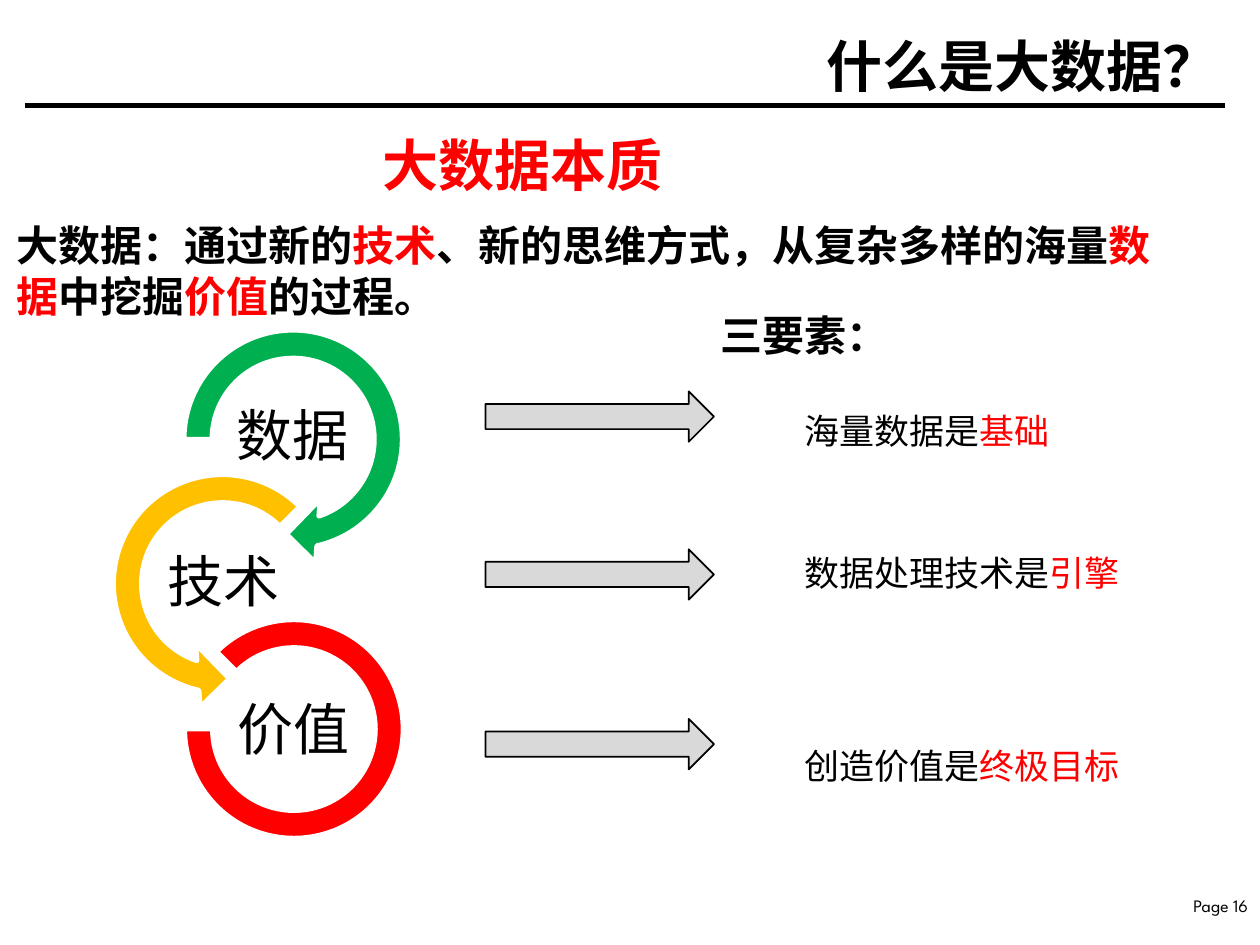
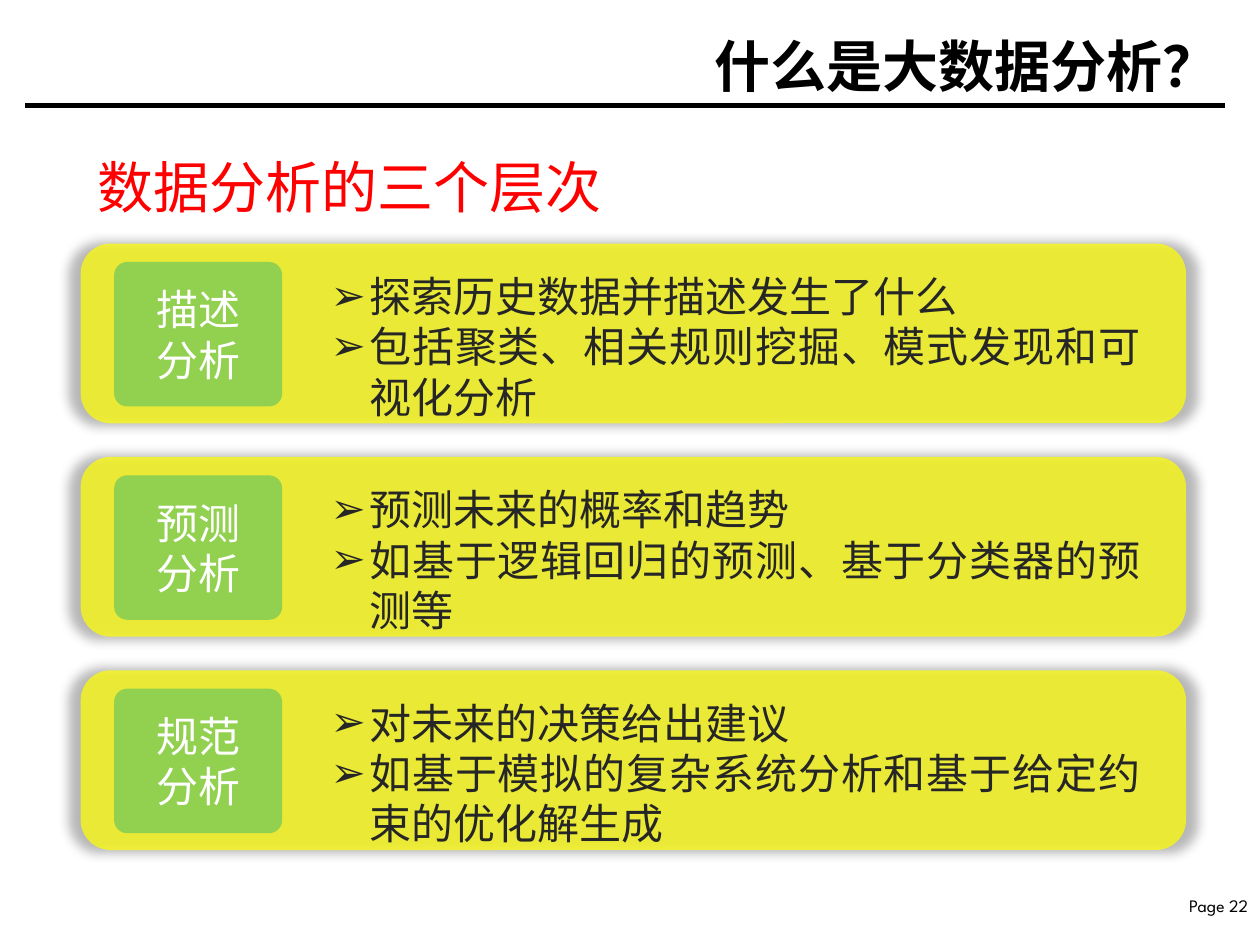
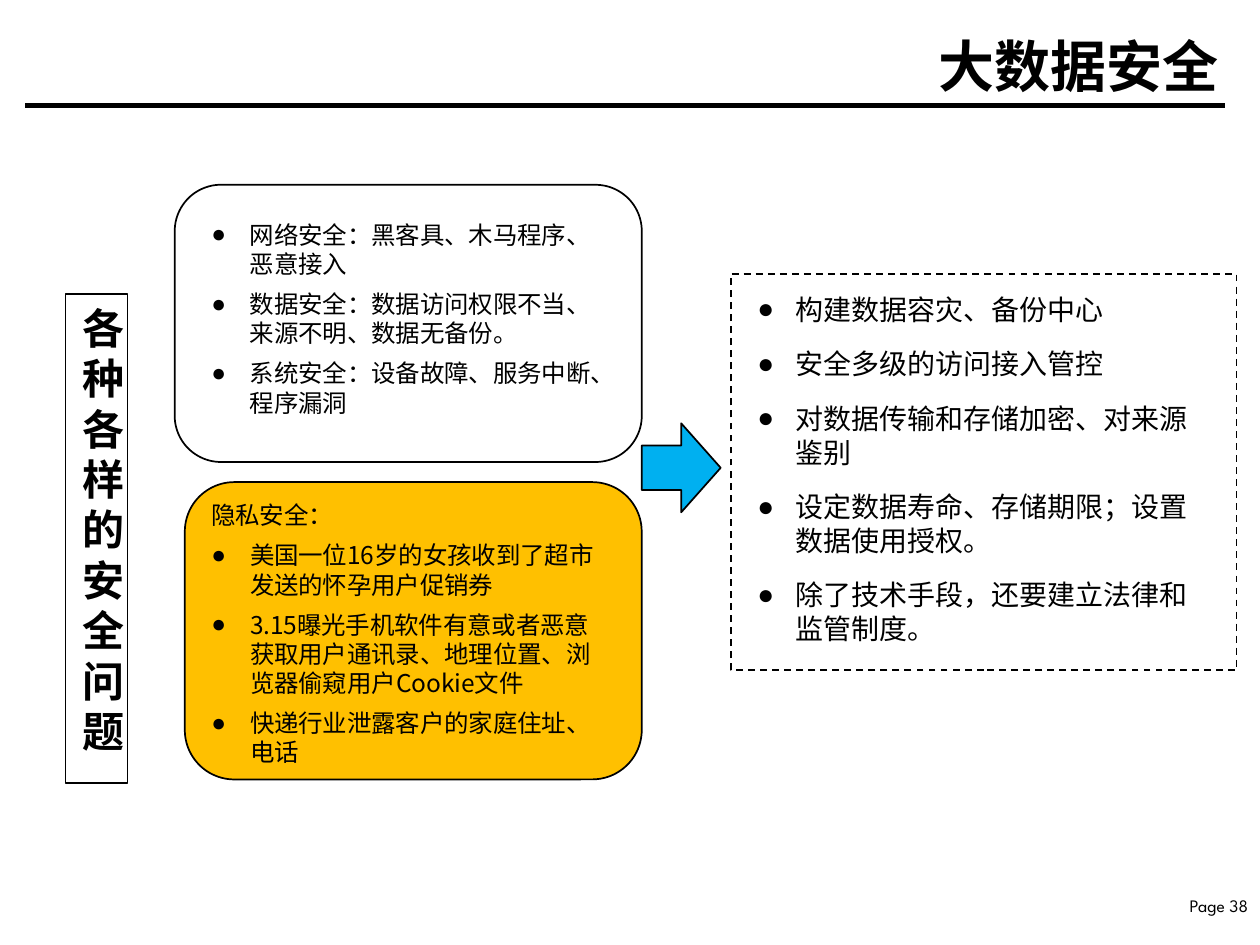
from dataclasses import dataclass
from typing import Optional

from lxml.etree import SubElement
from pptx import Presentation
from pptx.dml.color import RGBColor
from pptx.enum.dml import MSO_LINE
from pptx.enum.shapes import MSO_CONNECTOR, MSO_SHAPE
from pptx.enum.text import MSO_ANCHOR, PP_ALIGN
from pptx.oxml.ns import qn
from pptx.util import Inches, Pt

# Shared size, colours and fonts
SLIDE_WIDTH = 7.5
SLIDE_HEIGHT = SLIDE_WIDTH * 3 / 4
BLACK = RGBColor(0x00, 0x00, 0x00)
WHITE = RGBColor(0xFF, 0xFF, 0xFF)
RED = RGBColor(0xFF, 0x00, 0x00)
GREEN = RGBColor(0x00, 0xB0, 0x50)
AMBER = RGBColor(0xFF, 0xC0, 0x00)
GREY = RGBColor(0xD9, 0xD9, 0xD9)
YELLOW = RGBColor(0xFF, 0xFF, 0x00)
LIME = RGBColor(0x92, 0xD0, 0x50)
BLUE = RGBColor(0x00, 0xB0, 0xF0)
CHARCOAL = RGBColor(0x26, 0x26, 0x26)
CJK = "Noto Sans CJK SC"
LATIN = "Arial"
SERIF = "Times New Roman"
FOOTER_FONT = "League Spartan"
HANGING = 0.23


@dataclass(frozen=True)
class Box:
    left: float
    top: float
    width: float
    height: float

    def lengths(self):
        return [Inches(v) for v in (self.left, self.top, self.width, self.height)]


@dataclass(frozen=True)
class Style:
    size: float
    font: str = CJK
    color: RGBColor = BLACK
    bold: bool = False


@dataclass(frozen=True)
class Line:
    """A paragraph; every second piece of text is highlighted in red."""
    pieces: tuple[str, ...]
    style: Style
    align: PP_ALIGN = PP_ALIGN.LEFT
    bullet: Optional[str] = None
    indent: float = 0
    before: float = 0
    after: float = 0
    spacing: float = 1.0


@dataclass(frozen=True)
class CycleStep:
    label: str
    label_box: Box
    kind: MSO_SHAPE
    box: Box
    adjustments: tuple[float, ...]
    color: RGBColor


@dataclass(frozen=True)
class Level:
    name: str
    points: tuple[str, str]


TITLE = Style(24, bold=True)
CYCLE_LABEL = Style(24, FOOTER_FONT)
LEVEL_NAME = Style(18, color=WHITE)
LEVEL_POINT = Style(18, color=CHARCOAL)
ISSUE = Style(10.5)
MEASURE = Style(12)

CYCLE = (
    CycleStep("数据", Box(1.32, 2.4, 0.84, 0.42), MSO_SHAPE.CIRCULAR_ARROW,
              Box(0.99, 1.86, 1.51, 1.51), (0.11, 11.42, 45, 108, 0.125), GREEN),
    CycleStep("技术", Box(0.91, 3.27, 0.84, 0.42), MSO_SHAPE.LEFT_CIRCULAR_ARROW,
              Box(0.57, 2.72, 1.51, 1.51), (0.11, 11.42, 63, 189, 0.125), AMBER),
    CycleStep("价值", Box(1.33, 4.15, 0.84, 0.42), MSO_SHAPE.BLOCK_ARC,
              Box(1.1, 3.69, 1.3, 1.3), (135, 108, 0.127), RED),
)
ELEMENTS = (("海量数据是", "基础"), ("数据处理技术是", "引擎"), ("创造价值是", "终极目标"))
LEVELS = (
    Level("描述", ("探索历史数据并描述发生了什么",
                 "包括聚类、相关规则挖掘、模式发现和可视化分析")),
    Level("预测", ("预测未来的概率和趋势",
                 "如基于逻辑回归的预测、基于分类器的预测等")),
    Level("规范", ("对未来的决策给出建议",
                 "如基于模拟的复杂系统分析和基于给定约束的优化解生成")),
)
SYSTEM_ISSUES = (
    "网络安全：黑客具、木马程序、恶意接入",
    "数据安全：数据访问权限不当、来源不明、数据无备份。",
    "系统安全：设备故障、服务中断、程序漏洞",
)
PRIVACY_ISSUES = (
    "美国一位16岁的女孩收到了超市发送的怀孕用户促销券",
    "3.15曝光手机软件有意或者恶意获取用户通讯录、地理位置、浏览器偷窥用户Cookie文件",
    "快递行业泄露客户的家庭住址、电话",
)
MEASURES = (
    "构建数据容灾、备份中心",
    "安全多级的访问接入管控",
    "对数据传输和存储加密、对来源鉴别",
    "设定数据寿命、存储期限；设置数据使用授权。",
    "除了技术手段，还要建立法律和监管制度。",
)


# Drawing helpers
def add_run(paragraph, text: str, style: Style, color: RGBColor) -> None:
    run = paragraph.add_run()
    run.text = text
    run.font.size = Pt(style.size)
    run.font.name = style.font
    run.font.bold = style.bold
    run.font.color.rgb = color
    SubElement(run.font._element, qn("a:ea"), typeface=CJK)


def write(shape, lines: list[Line], anchor=MSO_ANCHOR.TOP) -> None:
    frame = shape.text_frame
    frame.word_wrap = True
    frame.vertical_anchor = anchor
    for index, line in enumerate(lines):
        paragraph = frame.add_paragraph() if index else frame.paragraphs[0]
        paragraph.alignment = line.align
        paragraph.line_spacing = line.spacing
        paragraph.space_before = Pt(line.before)
        paragraph.space_after = Pt(line.after)
        properties = paragraph._p.get_or_add_pPr()
        properties.set("hangingPunct", "1")
        properties.set("marL", str(Inches(line.indent)))
        if line.bullet:
            properties.set("indent", str(-Inches(line.indent)))
            SubElement(properties, qn("a:buFont"), typeface=LATIN)
            SubElement(properties, qn("a:buChar"), char=line.bullet)
        for position, piece in enumerate(line.pieces):
            add_run(paragraph, piece, line.style, RED if position % 2 else line.style.color)


def add_text(slide, box: Box, lines: list[Line], anchor=MSO_ANCHOR.TOP,
             margins: Optional[tuple[float, float]] = None) -> None:
    shape = slide.shapes.add_textbox(*box.lengths())
    if margins:
        frame = shape.text_frame
        frame.margin_left = frame.margin_right = Inches(margins[0])
        frame.margin_top = frame.margin_bottom = Inches(margins[1])
    write(shape, lines, anchor)


def add_figure(slide, kind: MSO_SHAPE, box: Box, fill: Optional[RGBColor] = None,
               line: Optional[RGBColor] = BLACK, width: float = 0.75,
               adjustments: tuple[float, ...] = ()):
    shape = slide.shapes.add_shape(kind, *box.lengths())
    shape.shadow.inherit = False
    for index, value in enumerate(adjustments):
        shape.adjustments[index] = value
    if fill is None:
        shape.fill.background()
    else:
        shape.fill.solid()
        shape.fill.fore_color.rgb = fill
    if line is None:
        shape.line.fill.background()
    else:
        shape.line.color.rgb = line
        shape.line.width = Pt(width)
    return shape


def add_glow(shape, opacity: int, shadow_opacity: int, blur: float, scale: int) -> None:
    """Make the fill translucent and put a soft, enlarged shadow around the shape."""
    properties = shape._element.spPr
    fill_color = properties.find(qn("a:solidFill"))[0]
    SubElement(fill_color, qn("a:alpha"), val=str(opacity * 1000))
    shadow = SubElement(properties.find(qn("a:effectLst")), qn("a:outerShdw"),
                        blurRad=str(Pt(blur)), dist="0", dir="0",
                        sx=str(scale * 1000), sy=str(scale * 1000),
                        algn="ctr", rotWithShape="0")
    shadow_color = SubElement(shadow, qn("a:srgbClr"), val=str(BLACK))
    SubElement(shadow_color, qn("a:alpha"), val=str(shadow_opacity * 1000))


def bullets(texts: tuple[str, ...], style: Style, before: float = 0) -> list[Line]:
    return [Line((text,), style, bullet="●", indent=HANGING, before=before, after=4.5)
            for text in texts]


def start_slide(presentation, title: str, page: int):
    """Add a slide with the shared title, rule and page number."""
    slide = presentation.slides.add_slide(presentation.slide_layouts[6])
    add_text(slide, Box(6.86, 5.29, 0.64, 0.2),
             [Line((f"Page {page}",), Style(7.5, FOOTER_FONT), PP_ALIGN.RIGHT)],
             margins=(0.07, 0.04))
    rule = slide.shapes.add_connector(MSO_CONNECTOR.STRAIGHT, Inches(0.15), Inches(0.63),
                                      Inches(7.29), Inches(0.63))
    rule.line.color.rgb = BLACK
    rule.line.width = Pt(2)
    SubElement(rule._element.spPr, qn("a:effectLst"))
    add_text(slide, Box(0.6, 0.14, 6.75, 0.94), [Line((title,), TITLE, PP_ALIGN.RIGHT)])
    return slide


# Slides
def build_essence(presentation) -> None:
    slide = start_slide(presentation, "什么是大数据？", 16)
    definition = ("大数据：通过新的", "技术", "、新的思维方式，从复杂多样的海量", "数据",
                  "中挖掘", "价值", "的过程。")
    add_text(slide, Box(0, 1.26, 6.97, 0.71),
             [Line(definition, Style(18, LATIN, bold=True))])

    # Cycle of three steps
    for step in CYCLE:
        add_figure(slide, step.kind, step.box, step.color, WHITE, 2.08, step.adjustments)
        add_text(slide, step.label_box,
                 [Line((step.label,), CYCLE_LABEL, PP_ALIGN.CENTER, spacing=0.9)],
                 MSO_ANCHOR.MIDDLE, (0.02, 0.02))

    # Arrows to the three elements, which are spaced ever wider
    for top in (2.33, 3.27, 4.28):
        add_figure(slide, MSO_SHAPE.RIGHT_ARROW, Box(2.89, top, 1.36, 0.3), GREY)
    heading = Line(("三要素：",), Style(18, bold=True))
    elements = [Line(pieces, Style(15), indent=0.5, before=21.5 * number)
                for number, pieces in enumerate(ELEMENTS, 1)]
    add_text(slide, Box(4.19, 1.79, 2.78, 2.98), [heading, *elements])
    add_text(slide, Box(2.18, 0.73, 1.9, 0.5),
             [Line(("大数据本质",), Style(24, SERIF, RED, True))])


def build_levels(presentation) -> None:
    slide = start_slide(presentation, "什么是大数据分析？", 22)
    add_text(slide, Box(0.48, 0.86, 3.25, 0.5),
             [Line(("数据分析的三个层次",), Style(24, SERIF, RED))])
    for index, level in enumerate(LEVELS):
        top = 1.45 + 1.27 * index
        panel = add_figure(slide, MSO_SHAPE.ROUNDED_RECTANGLE,
                           Box(0.48, top, 6.58, 1.07), YELLOW, None)
        add_glow(panel, opacity=70, shadow_opacity=40, blur=5, scale=102)
        badge = add_figure(slide, MSO_SHAPE.ROUNDED_RECTANGLE,
                           Box(0.68, top + 0.11, 1, 0.86), LIME, None, adjustments=(0.09,))
        write(badge, [Line((text,), LEVEL_NAME, PP_ALIGN.CENTER)
                      for text in (level.name, "分析")], MSO_ANCHOR.MIDDLE)
        add_text(slide, Box(1.87, top + 0.11, 5.02, 1.15),
                 [Line((point,), LEVEL_POINT, PP_ALIGN.JUSTIFY, "➢", HANGING)
                  for point in level.points])


def build_security(presentation) -> None:
    slide = start_slide(presentation, "大数据安全", 38)
    add_figure(slide, MSO_SHAPE.RIGHT_ARROW, Box(3.82, 2.52, 0.47, 0.53), BLUE)
    banner = add_figure(slide, MSO_SHAPE.RECTANGLE, Box(0.39, 1.75, 0.37, 2.91))
    write(banner, [Line(("各种各样的安全问题",), Style(18, LATIN, bold=True))])

    # Issues and measures
    add_figure(slide, MSO_SHAPE.ROUNDED_RECTANGLE, Box(1.04, 1.1, 2.78, 1.65), WHITE)
    add_figure(slide, MSO_SHAPE.ROUNDED_RECTANGLE, Box(1.1, 2.87, 2.72, 1.77), AMBER)
    add_text(slide, Box(4.41, 1.69, 2.83, 2.28), bullets(MEASURES, MEASURE, before=4.5))
    add_text(slide, Box(1.16, 1.26, 2.6, 1.3), bullets(SYSTEM_ISSUES, ISSUE))
    add_text(slide, Box(1.16, 2.93, 2.48, 1.73),
             [Line(("隐私安全：",), ISSUE, after=4.5), *bullets(PRIVACY_ISSUES, ISSUE)])
    frame = add_figure(slide, MSO_SHAPE.RECTANGLE, Box(4.35, 1.63, 3.01, 2.36))
    frame.line.dash_style = MSO_LINE.DASH


def main() -> None:
    presentation = Presentation()
    presentation.slide_width = Inches(SLIDE_WIDTH)
    presentation.slide_height = Inches(SLIDE_HEIGHT)
    build_essence(presentation)
    build_levels(presentation)
    build_security(presentation)
    presentation.save("out.pptx")


if __name__ == "__main__":
    main()
